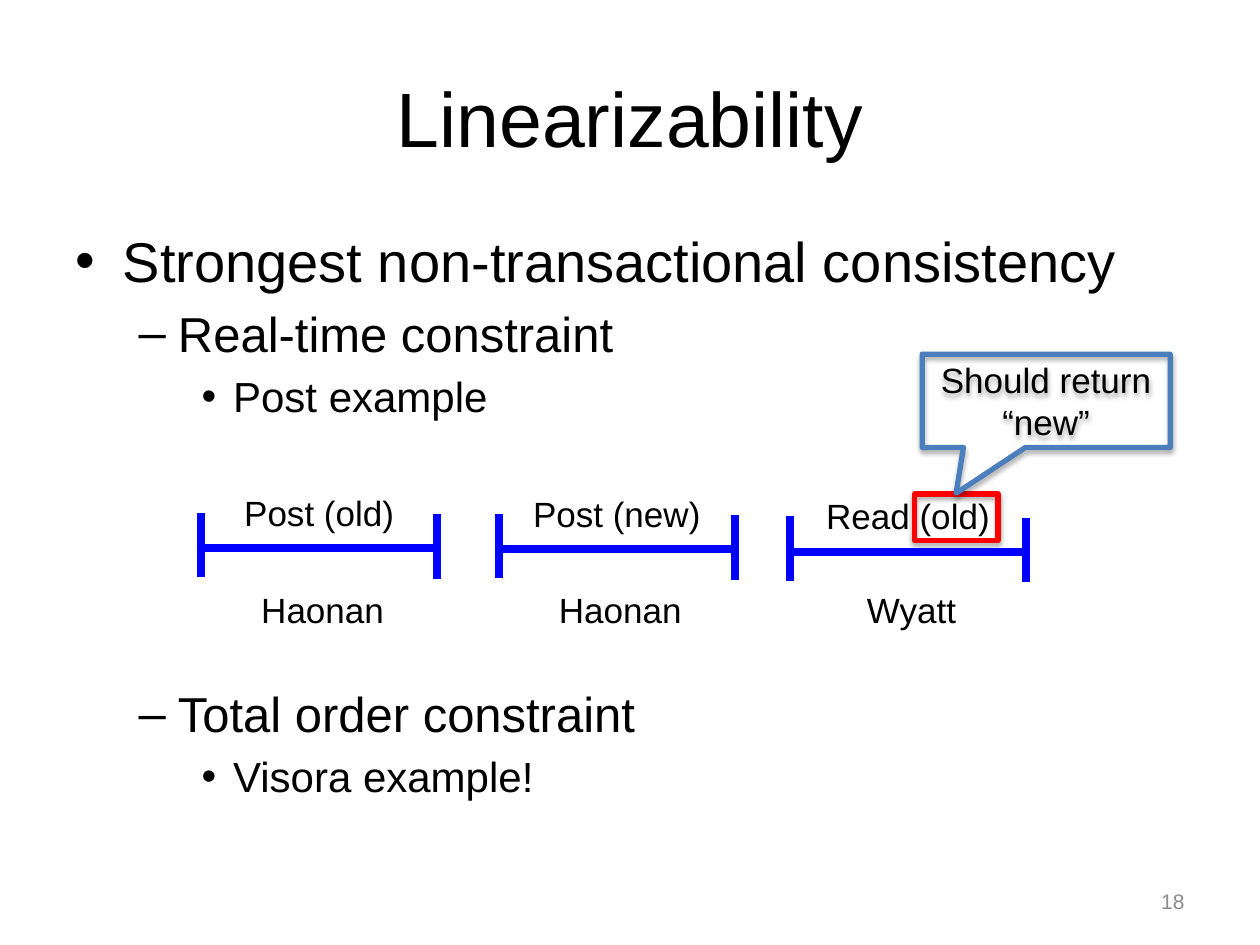
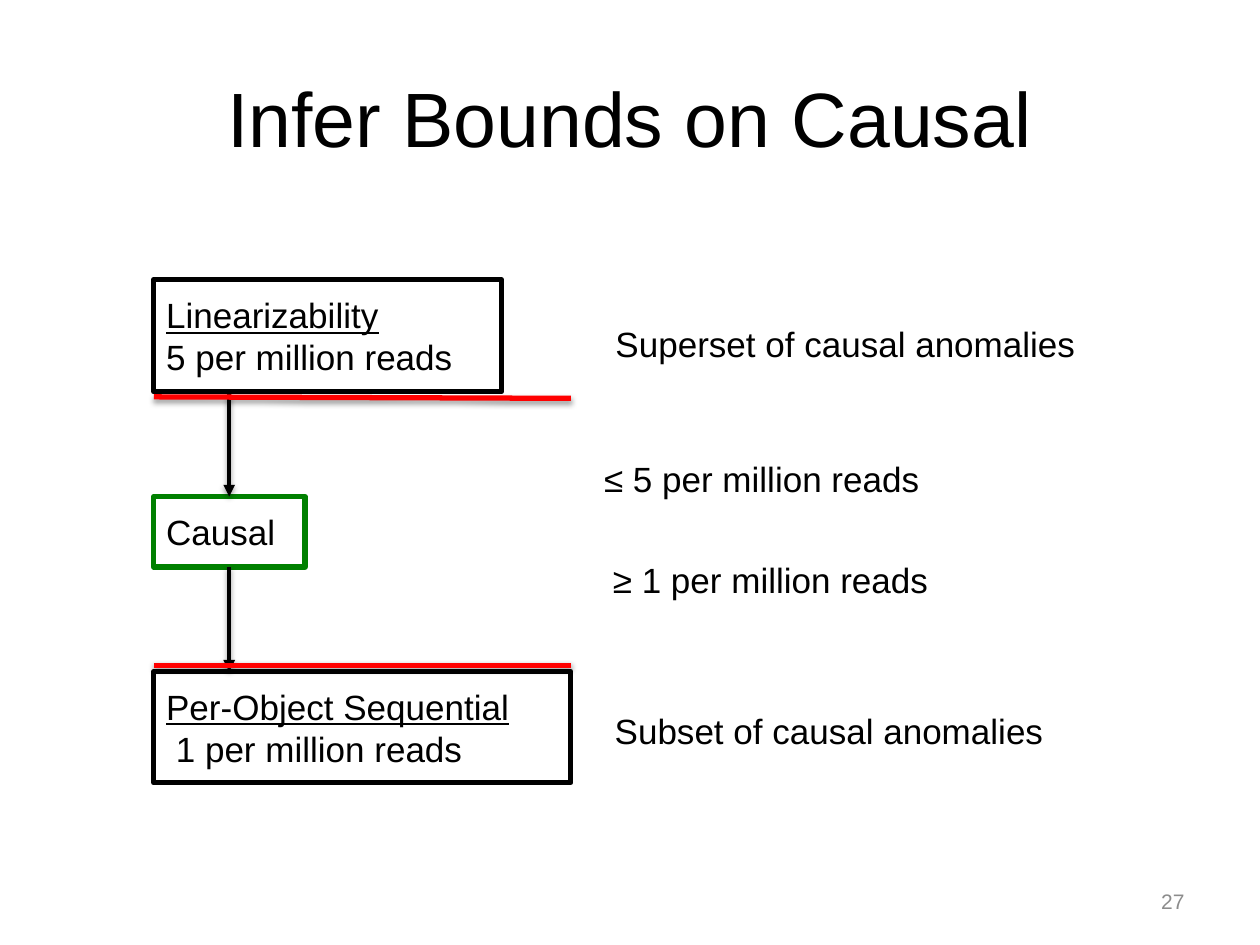
from lxml.etree import SubElement
from pptx import Presentation
from pptx.dml.color import RGBColor
from pptx.enum.shapes import MSO_CONNECTOR, MSO_SHAPE
from pptx.enum.text import MSO_ANCHOR, PP_ALIGN
from pptx.oxml.ns import qn
from pptx.util import Cm, Pt

BLACK = RGBColor(0, 0, 0)
GRAY = RGBColor(0x8C, 0x8C, 0x8C)
RED = RGBColor(0xFF, 0, 0)
GREEN = RGBColor(0, 0x80, 0)
BLUE = RGBColor(0, 0, 0xFF)
STEEL = RGBColor(0x4B, 0x7E, 0xBC)

TITLE_AREA = (1.27, 0.76, 22.86, 3.18)
BODY_AREA = (1.27, 4.44, 22.86, 13.21)
NUMBER_AREA = (18.21, 17.65, 5.92, 1.02)
LABEL_HEIGHT = 1.12

LINEARIZABILITY = {
    "title": "Linearizability",
    "number": "18",
    "points": [
        (0, "Strongest non-transactional consistency", {}),
        (1, "Real-time constraint", {}),
        (2, "Post example", {}),
        (1, "Total order constraint", {"space_before": Pt(150)}),
        (2, "Visora example!", {}),
    ],
    "highlight": (18.44, 9.96, 1.68, 0.94),
    "callout": ("Should return “new”", (18.59, 7.14, 5.0, 1.88), (-0.363, 0.992)),
    "operations": [
        ("Post (old)", 3.63, "Haonan", 3.05, 4.06, 10.34),
        ("Post (new)", 3.96, "Haonan", 3.05, 10.06, 10.36),
        ("Read (old)", 3.86, "Wyatt", 2.44, 15.93, 10.41),
    ],
}
POINT_SIZES = (32, 28, 24)
SPAN, TICK, TICK_DROP, BAR_DROP = 4.75, 1.3, 0.03, 0.71
OWNER_TOP = 11.73

BOUNDS = {
    "title": "Infer Bounds on Causal",
    "number": "27",
    "models": [
        (["Linearizability", "5 per million reads"], BLACK, 5.64, 7.01, 2.26),
        (["Causal"], GREEN, 10.01, 3.05, 1.42),
        (["Per-Object Sequential", " 1 per million reads"], BLACK, 13.54, 8.41, 2.24),
    ],
    "limits": [(8.0, 8.03), (13.41, 13.41)],
    "remarks": [
        ("≤ 5 per million reads ", 11.86, 9.09, 7.19),
        ("≥ 1 per million reads", 11.94, 11.13, 7.19),
        ("Subset of causal anomalies", 11.94, 14.17, 9.55),
        ("Superset of causal anomalies", 11.94, 6.38, 10.21),
    ],
}
MODEL_LEFT, ARROW_X, LIMIT_RIGHT = 3.1, 4.62, 11.51


def apply(target, values):
    for attribute, value in values.items():
        setattr(target, attribute, value)


def place(target, area):
    apply(target, dict(zip(("left", "top", "width", "height"), map(Cm, area))))


def write(frame, lines, size, color=BLACK, align=PP_ALIGN.CENTER):
    for index, line in enumerate(lines):
        paragraph = frame.paragraphs[0] if index == 0 else frame.add_paragraph()
        paragraph.alignment = align
        run = paragraph.add_run()
        run.text = line
        apply(run.font, {"name": "Arial", "size": Pt(size)})
        run.font.color.rgb = color


def set_shadow(target, alpha=None, distance=1.8):
    properties = target._element.spPr
    for effects in properties.findall(qn("a:effectLst")):
        properties.remove(effects)
    effects = SubElement(properties, qn("a:effectLst"))
    if alpha is None:
        return
    shadow = SubElement(effects, qn("a:outerShdw"), blurRad=str(Pt(3.1)),
                        dist=str(Pt(distance)), dir="5400000", rotWithShape="0")
    tint = SubElement(shadow, qn("a:srgbClr"), val=str(BLACK))
    SubElement(tint, qn("a:alpha"), val=str(alpha * 1000))


def add_label(shapes, text, area, size=20, color=BLACK, align=PP_ALIGN.CENTER, **frame_format):
    frame = shapes.add_textbox(*map(Cm, area)).text_frame
    apply(frame, {"word_wrap": False, **frame_format})
    write(frame, [text], size, color, align)


def add_line(shapes, start, end, color, width, alpha=None, arrow=False):
    line = shapes.add_connector(MSO_CONNECTOR.STRAIGHT, *map(Cm, start + end))
    line.line.color.rgb = color
    line.line.width = Pt(width)
    set_shadow(line, alpha, 1.6)
    if arrow:
        SubElement(line.line._get_or_add_ln(), qn("a:tailEnd"), type="triangle")


def add_outline(shapes, kind, area, color, alpha=None):
    outline = shapes.add_shape(kind, *map(Cm, area))
    outline.fill.background()
    outline.line.color.rgb = color
    outline.line.width = Pt(3)
    set_shadow(outline, alpha)
    return outline


def add_slide(deck, layout, content):
    slide = deck.slides.add_slide(deck.slide_layouts[layout])
    title = slide.shapes.title
    place(title, TITLE_AREA)
    title.text_frame.vertical_anchor = MSO_ANCHOR.MIDDLE
    write(title.text_frame, [content["title"]], 44)
    add_label(slide.shapes, content["number"], NUMBER_AREA, 12, GRAY, PP_ALIGN.RIGHT,
              word_wrap=True, vertical_anchor=MSO_ANCHOR.MIDDLE)
    return slide


def add_points(body, points):
    place(body, BODY_AREA)
    for index, (level, text, spacing) in enumerate(points):
        frame = body.text_frame
        paragraph = frame.paragraphs[0] if index == 0 else frame.add_paragraph()
        apply(paragraph, {"text": text, "level": level, **spacing})
        font = paragraph.runs[0].font
        apply(font, {"name": "Arial", "size": Pt(POINT_SIZES[level])})
        font.color.rgb = BLACK


def add_operation(shapes, action, action_width, owner, owner_width, left, top):
    group = shapes.add_group_shape().shapes
    right, bar, middle = left + SPAN, top + BAR_DROP, left + SPAN / 2
    for start, end in (
        ((left, top), (left, top + TICK)),
        ((right, top + TICK_DROP), (right, top + TICK_DROP + TICK)),
        ((right, bar), (left, bar)),
    ):
        add_line(group, start, end, BLUE, 4.5)
    for text, width, center, label_top in (
        (action, action_width, middle, top - 0.56),
        (owner, owner_width, middle + 0.07, OWNER_TOP),
    ):
        add_label(group, text, (center - width / 2, label_top, width, LABEL_HEIGHT))


def build_linearizability(deck):
    content = LINEARIZABILITY
    slide = add_slide(deck, 1, content)
    add_points(slide.placeholders[1], content["points"])
    add_outline(slide.shapes, MSO_SHAPE.RECTANGLE, content["highlight"], RED, 35)
    text, area, pointer = content["callout"]
    callout = add_outline(slide.shapes, MSO_SHAPE.RECTANGULAR_CALLOUT, area, STEEL, 35)
    for index, value in enumerate(pointer):
        callout.adjustments[index] = value
    write(callout.text_frame, [text], 20)
    for operation in content["operations"]:
        add_operation(slide.shapes, *operation)


def build_bounds(deck):
    content = BOUNDS
    shapes = add_slide(deck, 5, content).shapes
    models = content["models"]
    for lines, color, top, width, height in models:
        model = add_outline(shapes, MSO_SHAPE.RECTANGLE, (MODEL_LEFT, top, width, height), color)
        write(model.text_frame, lines, 20, align=PP_ALIGN.LEFT)
        if len(lines) > 1:
            model.text_frame.paragraphs[0].runs[0].font.underline = True
    for (_, _, top, _, height), (_, _, next_top, _, _) in zip(models, models[1:]):
        add_line(shapes, (ARROW_X, top + height), (ARROW_X, next_top), BLACK, 2.25, 38, True)
    for left_y, right_y in content["limits"]:
        add_line(shapes, (MODEL_LEFT, left_y), (LIMIT_RIGHT, right_y), RED, 3, 38)
    for text, left, top, width in content["remarks"]:
        add_label(shapes, text, (left, top, width, LABEL_HEIGHT))


def main():
    deck = Presentation()
    apply(deck, {"slide_width": Cm(25.4), "slide_height": Cm(19.05)})
    build_linearizability(deck)
    build_bounds(deck)
    deck.save("out.pptx")


if __name__ == "__main__":
    main()
